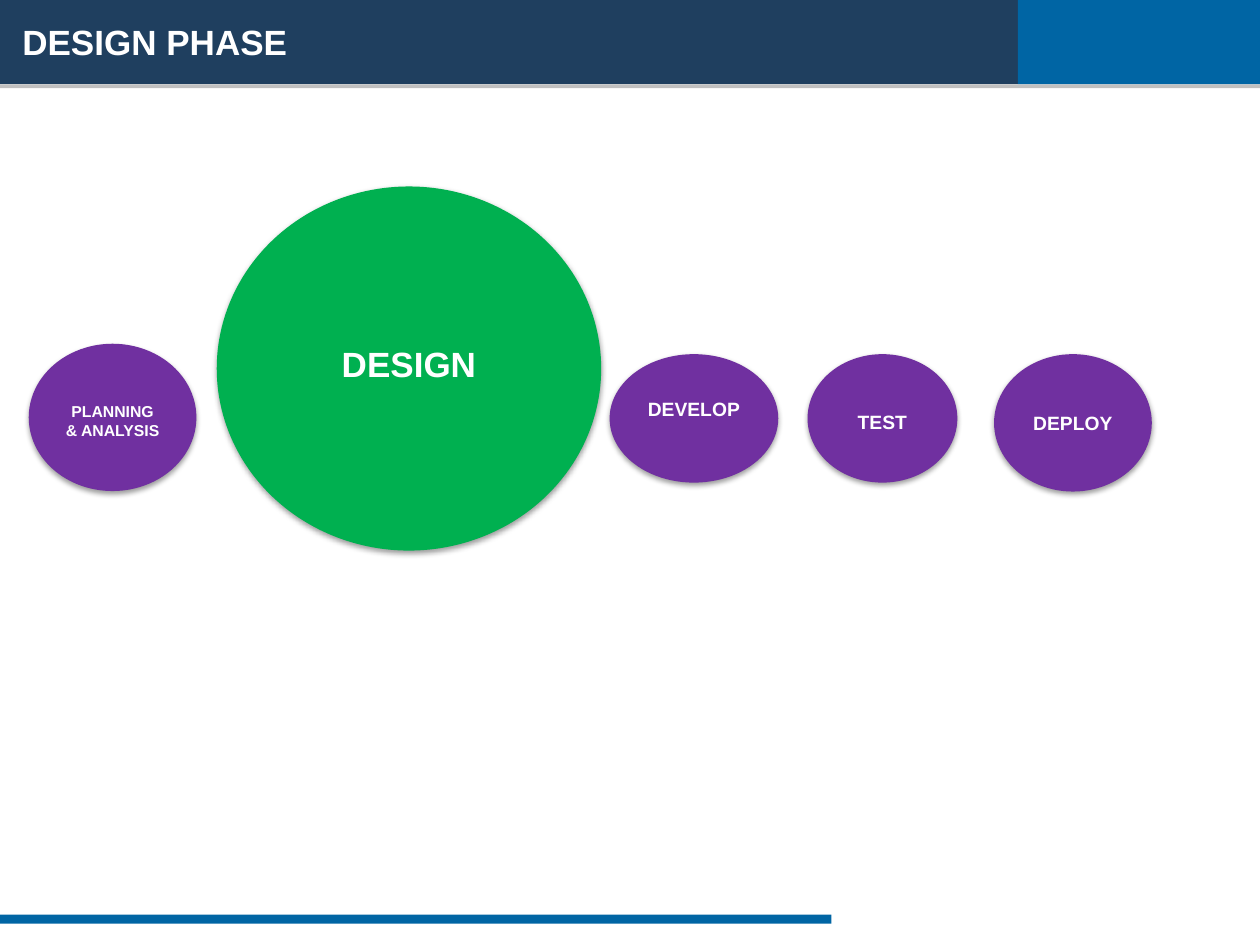
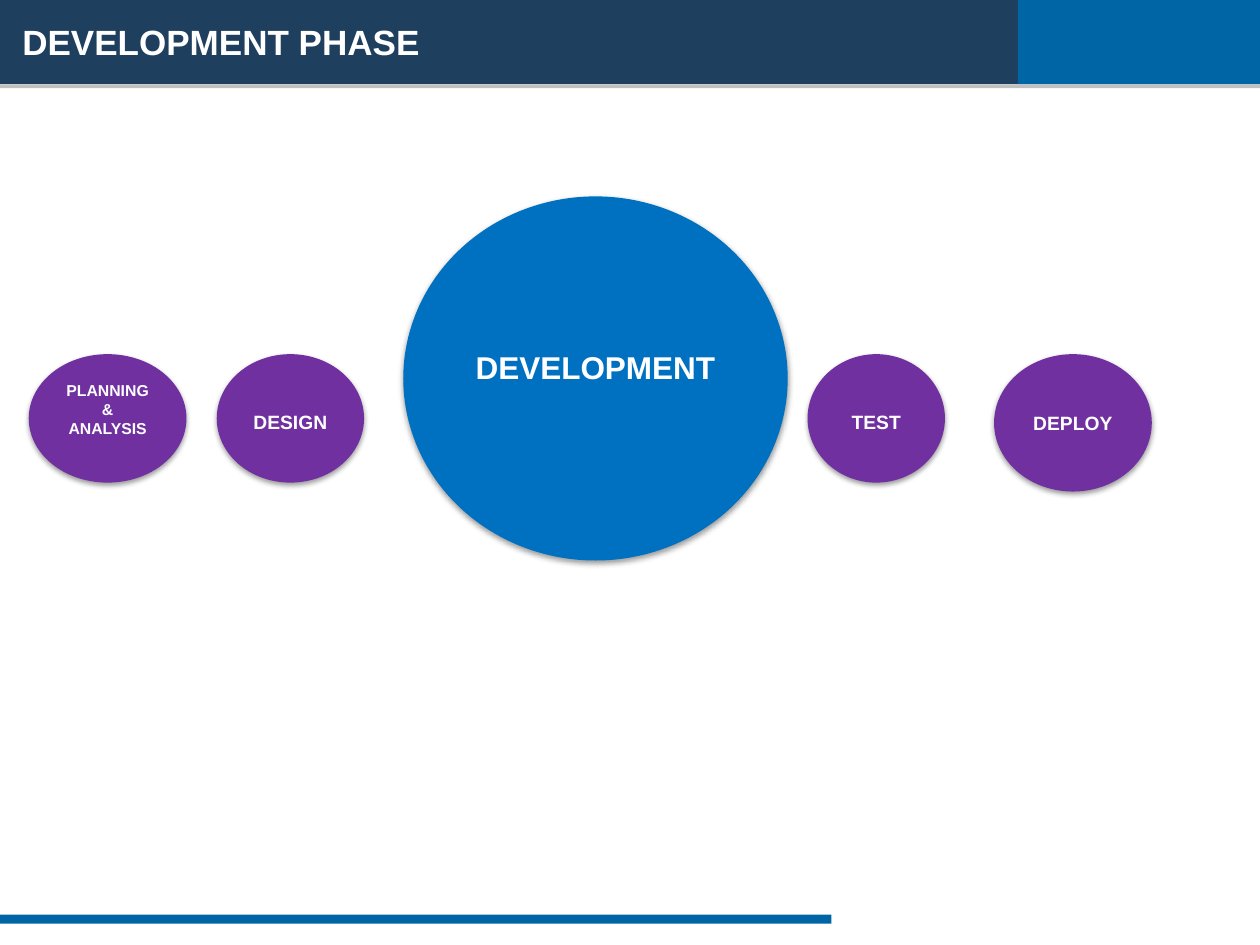
from dataclasses import dataclass

from lxml.etree import SubElement
from pptx import Presentation
from pptx.dml.color import RGBColor
from pptx.enum.shapes import MSO_SHAPE as Preset
from pptx.enum.text import MSO_ANCHOR as Anchor, PP_ALIGN as Align
from pptx.oxml.ns import qn
from pptx.util import Cm, Pt


@dataclass(frozen=True)
class Theme:
    font: str = "Arial"
    white: str = "FFFFFF"
    navy: str = "1F3F5F"
    blue: str = "0065A4"
    grey: str = "C0C0C0"
    purple: str = "7030A0"
    green: str = "00B050"
    bright_blue: str = "0070C0"
    title_size: int = 20
    design_size: int = 20
    development_size: int = 18
    phase_size: int = 11
    small_size: int = 9


@dataclass(frozen=True)
class Box:
    """Left, top, width and height in centimetres."""
    left: float
    top: float
    width: float
    height: float

    def inner(self, dx, dy, width, height):
        return Box(self.left + dx, self.top + dy, width, height)

    def lengths(self):
        return [Cm(n) for n in (self.left, self.top, self.width, self.height)]


@dataclass(frozen=True)
class Phase:
    """One bubble: its place in the row and the drop of its label in the text area."""
    label: str
    dx: float
    dy: float
    width: float
    height: float
    drop: float
    size: int = Theme.phase_size
    color: str = Theme.purple


THEME = Theme()
PAGE = Box(0, 0, 25.4, 19.05)
HEADER = Box(0, 0, PAGE.width, 1.78)
FOOTER = Box(0, 18.44, 16.76, 0.18)
PHASE_ROW = Box(0.58, 3.76, 22.64, 7.54)

DEPLOY = Phase("DEPLOY", 19.46, 3.38, 3.18, 2.77, 0.75)
PHASES_BY_TITLE = {
    "DESIGN PHASE": [
        DEPLOY,
        Phase("TEST", 15.7, 3.38, 3.02, 2.59, 0.75),
        Phase("DEVELOP", 11.71, 3.38, 3.4, 2.59, 0.5),
        Phase("PLANNING & ANALYSIS", 0, 3.17, 3.38, 2.97, 0.74, THEME.small_size),
        Phase("DESIGN", 3.79, 0, 7.75, 7.34, 2.08, THEME.design_size, THEME.green),
    ],
    "DEVELOPMENT PHASE": [
        DEPLOY,
        Phase("TEST", 15.7, 3.38, 2.77, 2.59, 0.75),
        Phase("PLANNING & ANALYSIS", 0, 3.38, 3.18, 2.59, 0.15, THEME.small_size),
        Phase("DESIGN", 3.79, 3.38, 2.97, 2.59, 0.75),
        Phase("DEVELOPMENT", 7.55, 0.2, 7.75, 7.34, 1.98,
              THEME.development_size, THEME.bright_blue),
    ],
}


def add_filled(slide, preset, box, color):
    shape = slide.shapes.add_shape(preset, *box.lengths())
    shape.shadow.inherit = False
    shape.fill.solid()
    shape.fill.fore_color.rgb = RGBColor.from_string(color)
    shape.line.fill.background()
    return shape


def write_label(frame, label, size, align):
    frame.word_wrap = True
    frame.text = label
    paragraph = frame.paragraphs[0]
    paragraph.alignment = align
    font = paragraph.runs[0].font
    font.name, font.size, font.bold = THEME.font, Pt(size), True
    font.color.rgb = RGBColor.from_string(THEME.white)


def add_soft_shadow(shape):
    effects = shape._element.spPr.find(qn("a:effectLst"))
    shadow = SubElement(effects, qn("a:outerShdw"), blurRad=str(Pt(3.1)),
                        dist=str(Pt(1.6)), dir="5400000", rotWithShape="0")
    black = SubElement(shadow, qn("a:srgbClr"), val="000000")
    SubElement(black, qn("a:alpha"), val="38000")


def add_header(slide, box, title):
    band_height, rule_height, navy_width = 1.7, 0.08, 20.52
    bands = [
        (box.inner(0, 0, navy_width, band_height), THEME.navy),
        (box.inner(0, band_height, box.width, rule_height), THEME.grey),
        (box.inner(navy_width, 0, box.width - navy_width, band_height), THEME.blue),
    ]
    for band, color in bands:
        add_filled(slide, Preset.RECTANGLE, band, color)
    title_area = box.inner(0.2, 0.2, 19.89, 1.27)
    frame = slide.shapes.add_textbox(*title_area.lengths()).text_frame
    frame.vertical_anchor = Anchor.MIDDLE
    write_label(frame, title, THEME.title_size, Align.LEFT)


def add_footer(slide, box):
    add_filled(slide, Preset.RECTANGLE, box, THEME.blue)


def add_phase_row(slide, box, phases):
    for phase in phases:
        place = box.inner(phase.dx, phase.dy, phase.width, phase.height)
        bubble = add_filled(slide, Preset.OVAL, place, phase.color)
        add_soft_shadow(bubble)
        frame = bubble.text_frame
        frame.vertical_anchor = Anchor.TOP
        frame.margin_left = frame.margin_right = Cm(0.25)
        frame.margin_top, frame.margin_bottom = Cm(phase.drop), 0
        write_label(frame, phase.label, phase.size, Align.CENTER)


def add_phase_slide(deck, title, phases):
    slide = deck.slides.add_slide(deck.slide_layouts[6])
    add_header(slide, HEADER, title)
    add_footer(slide, FOOTER)
    add_phase_row(slide, PHASE_ROW, phases)


def main():
    deck = Presentation()
    deck.slide_width, deck.slide_height = Cm(PAGE.width), Cm(PAGE.height)
    for title, phases in PHASES_BY_TITLE.items():
        add_phase_slide(deck, title, phases)
    deck.save("out.pptx")


if __name__ == "__main__":
    main()
